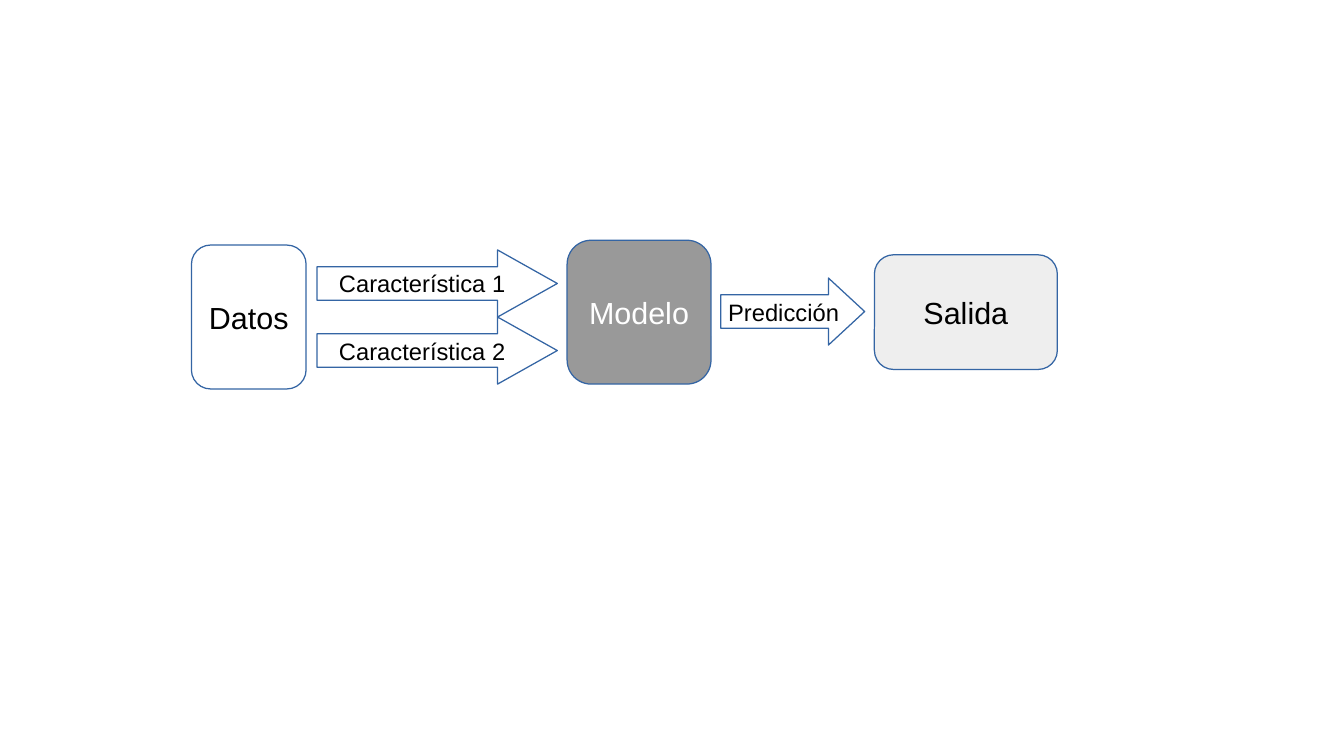
import pptx
import pptx.util
import pptx.dml.color
import pptx.enum.shapes
import pptx.enum.text

Inches = pptx.util.Inches
RGBColor = pptx.dml.color.RGBColor
MSO_SHAPE = pptx.enum.shapes.MSO_SHAPE

WHITE = RGBColor(0xFF, 0xFF, 0xFF)
BLACK = RGBColor(0x00, 0x00, 0x00)
GREY = RGBColor(0x99, 0x99, 0x99)
LIGHT_GREY = RGBColor(0xEE, 0xEE, 0xEE)
BLUE = RGBColor(0x34, 0x65, 0xA4)

ARROW_HEIGHT = 0.55
HEAD_LENGTH = {"Característica": 0.89, "Predicción": 0.54}


def add_labelled(slide, kind, box, text, size, fill, color, adjustments):
    s = slide.shapes.add_shape(kind, *map(Inches, box))
    s.shadow.inherit = False
    for i, value in enumerate(adjustments):
        s.adjustments[i] = value
    s.fill.solid()
    s.fill.fore_color.rgb = fill
    s.line.color.rgb = BLUE
    s.line.width = pptx.util.Pt(0)
    tf = s.text_frame
    frame_format = {
        "word_wrap": False,
        "vertical_anchor": pptx.enum.text.MSO_ANCHOR.MIDDLE,
    }
    for name, value in frame_format.items():
        setattr(tf, name, value)
    p = tf.paragraphs[0]
    p.alignment = pptx.enum.text.PP_ALIGN.CENTER
    r = p.add_run()
    r.text = text
    font_format = {"name": "Arial", "size": pptx.util.Pt(size)}
    for name, value in font_format.items():
        setattr(r.font, name, value)
    r.font.color.rgb = color


def add_stage(slide, box, text, fill, color=BLACK):
    add_labelled(slide, MSO_SHAPE.ROUNDED_RECTANGLE, box, text, 18,
                 fill, color, [0.167])


def add_flow(slide, left, top, width, text):
    head = HEAD_LENGTH[text.split()[0]]
    add_labelled(slide, MSO_SHAPE.RIGHT_ARROW,
                 (left, top, width, ARROW_HEIGHT), text, 14,
                 WHITE, BLACK, [0.5, head])


def main():
    prs = pptx.Presentation()
    prs.slide_width = Inches(11.02)
    prs.slide_height = Inches(6.2)
    slide = prs.slides.add_slide(prs.slide_layouts[6])

    add_stage(slide, (1.57, 2.01, 0.94, 1.18), "Datos", WHITE)
    add_stage(slide, (4.65, 1.97, 1.18, 1.18), "Modelo", GREY, WHITE)
    add_stage(slide, (7.17, 2.09, 1.5, 0.94), "Salida", LIGHT_GREY)

    for i in range(2):
        add_flow(slide, 2.6, 2.05 + i * ARROW_HEIGHT, 1.97,
                 f"Característica {i + 1}")
    add_flow(slide, 5.91, 2.28, 1.18, "Predicción")

    prs.save("out.pptx")


if __name__ == "__main__":
    main()
